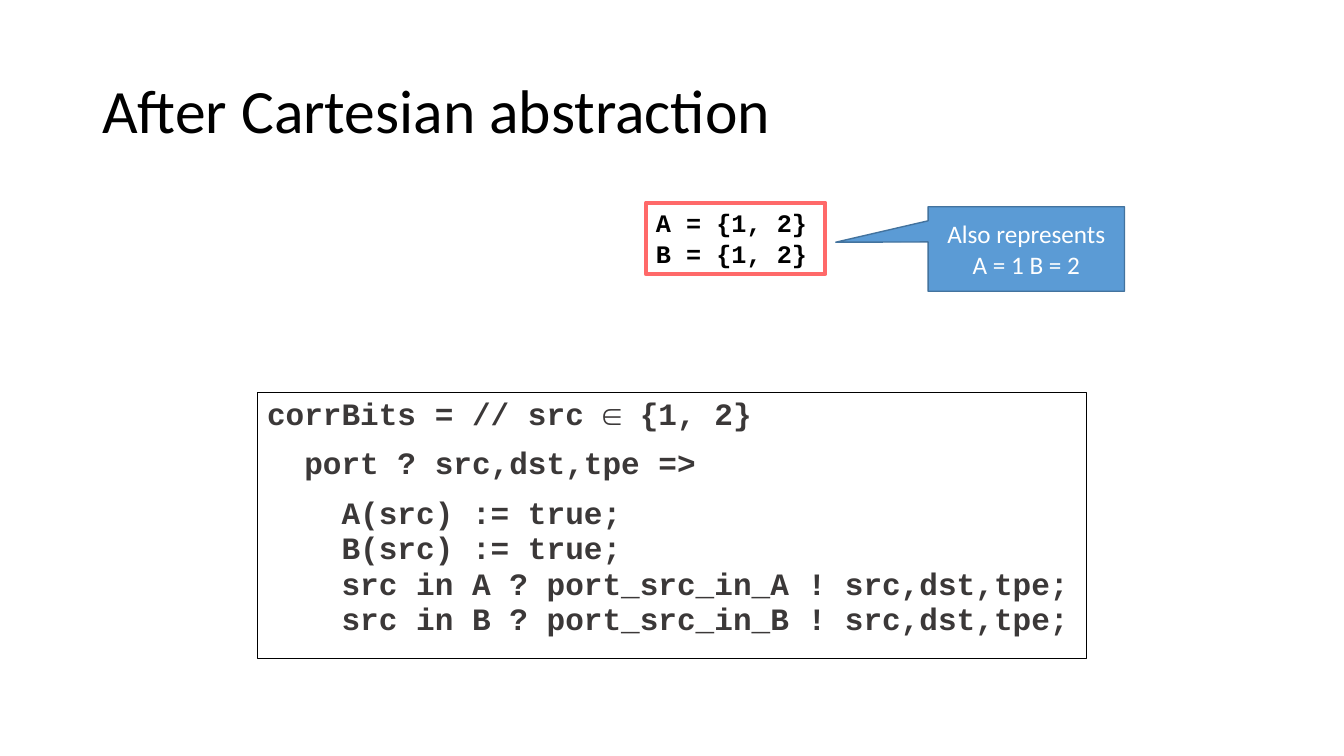
import dataclasses

import pptx
import pptx.dml.color
import pptx.enum.shapes
import pptx.enum.text
import pptx.util

Cm = pptx.util.Cm
Pt = pptx.util.Pt
Shape = pptx.enum.shapes.MSO_SHAPE
Anchor = pptx.enum.text.MSO_ANCHOR
Align = pptx.enum.text.PP_ALIGN


@dataclasses.dataclass(frozen=True)
class Theme:
    """Colours, fonts and type sizes of the deck."""
    ink: str = "000000"
    code_ink: str = "3B3838"
    highlight: str = "FF6969"
    callout_fill: str = "5B9BD5"
    callout_line: str = "43739E"
    callout_ink: str = "FFFFFF"
    text_font: str = "Calibri"
    code_font: str = "Courier New"
    title_size: float = 44
    code_size: float = 22.2
    label_size: float = 18


def rgb(value):
    """Turn a hex string into a colour."""
    return pptx.dml.color.RGBColor.from_string(value)


class SlideBuilder:
    """Draws styled elements on the current slide."""

    def __init__(self, page, theme):
        self.page = page
        self.theme = theme

    def set_text(self, box, paragraphs, font, size, color, bold=False,
                 align=Align.LEFT, anchor=Anchor.TOP, line=1.0, gap=0):
        """Fill a box with uniformly formatted paragraphs."""
        frame = box.text_frame
        frame.word_wrap = True
        frame.vertical_anchor = anchor
        for index, text in enumerate(paragraphs):
            para = frame.add_paragraph() if index else frame.paragraphs[0]
            para.text = text
            para.alignment = align
            para.line_spacing = line
            para.space_before = Pt(gap if index else 0)
            for span in para.runs:
                span.font.name = font
                span.font.size = Pt(size)
                span.font.bold = bold
                span.font.color.rgb = rgb(color)

    def shape(self, kind, place, line, width, fill=None):
        """Add an outlined shape, filled only when a fill is given."""
        box = self.page.shapes.add_shape(kind, *map(Cm, place))
        box.shadow.inherit = False
        box.line.color.rgb = rgb(line)
        box.line.width = Pt(width)
        if fill:
            box.fill.solid()
            box.fill.fore_color.rgb = rgb(fill)
        else:
            box.fill.background()
        return box

    def title(self, text, place):
        """Add the slide title."""
        box = self.page.shapes.add_textbox(*map(Cm, place))
        self.set_text(box, [text], self.theme.text_font, self.theme.title_size,
                      self.theme.ink, anchor=Anchor.MIDDLE, line=0.9)

    def code(self, paragraphs, place, size, color, border, width, **spacing):
        """Add a bordered box of bold code."""
        box = self.shape(Shape.RECTANGLE, place, border, width)
        self.set_text(box, paragraphs, self.theme.code_font, size, color,
                      bold=True, **spacing)

    def callout(self, text, place, tip):
        """Add a filled callout whose pointer ends at the relative tip."""
        theme = self.theme
        box = self.shape(Shape.RECTANGULAR_CALLOUT, place,
                         theme.callout_line, 1, theme.callout_fill)
        box.adjustments[0], box.adjustments[1] = tip
        self.set_text(box, [text], theme.text_font, theme.label_size,
                      theme.callout_ink, align=Align.CENTER,
                      anchor=Anchor.MIDDLE)


def main():
    """Build and save the slide."""
    deck = pptx.Presentation()
    deck.slide_width, deck.slide_height = Cm(33.87), Cm(19.05)
    theme = Theme()
    slide = SlideBuilder(deck.slides.add_slide(deck.slide_layouts[6]), theme)

    slide.title("After Cartesian abstraction", (2.33, 1.01, 29.21, 3.68))
    slide.code(
        ["corrBits = // src ∈ {1, 2}",
         "  port ? src,dst,tpe =>",
         "    A(src) := true;\n"
         "    B(src) := true;\n"
         "    src in A ? port_src_in_A ! src,dst,tpe;\n"
         "    src in B ? port_src_in_B ! src,dst,tpe;"],
        (6.48, 9.88, 20.9, 6.71), theme.code_size, theme.code_ink,
        theme.ink, 0.75, line=0.95, gap=10)
    slide.code(["A = {1, 2}", "B = {1, 2}"], (16.28, 5.11, 4.52, 1.8),
               theme.label_size, theme.ink, theme.highlight, 3)
    slide.callout("Also represents\nA = 1 B = 2", (23.39, 5.21, 4.95, 2.13),
                  (-0.97, -0.08))
    deck.save("out.pptx")


if __name__ == "__main__":
    main()
